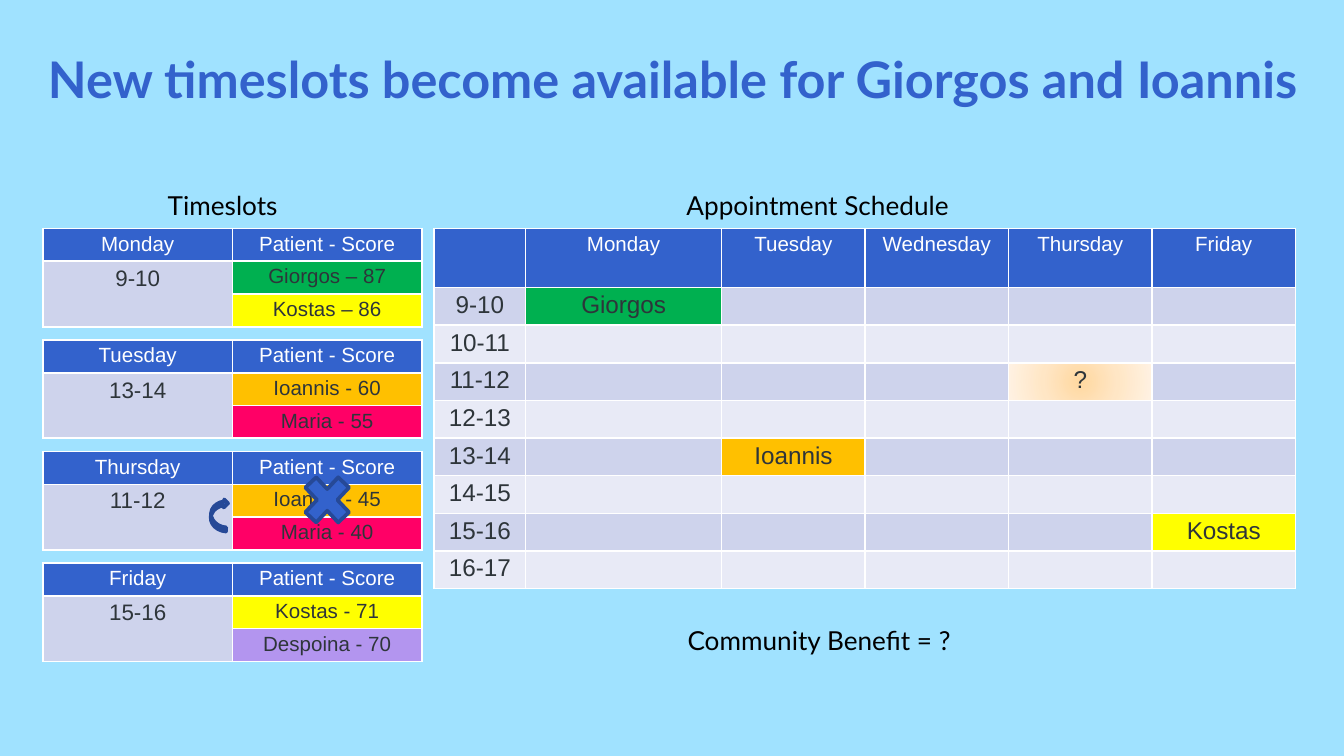
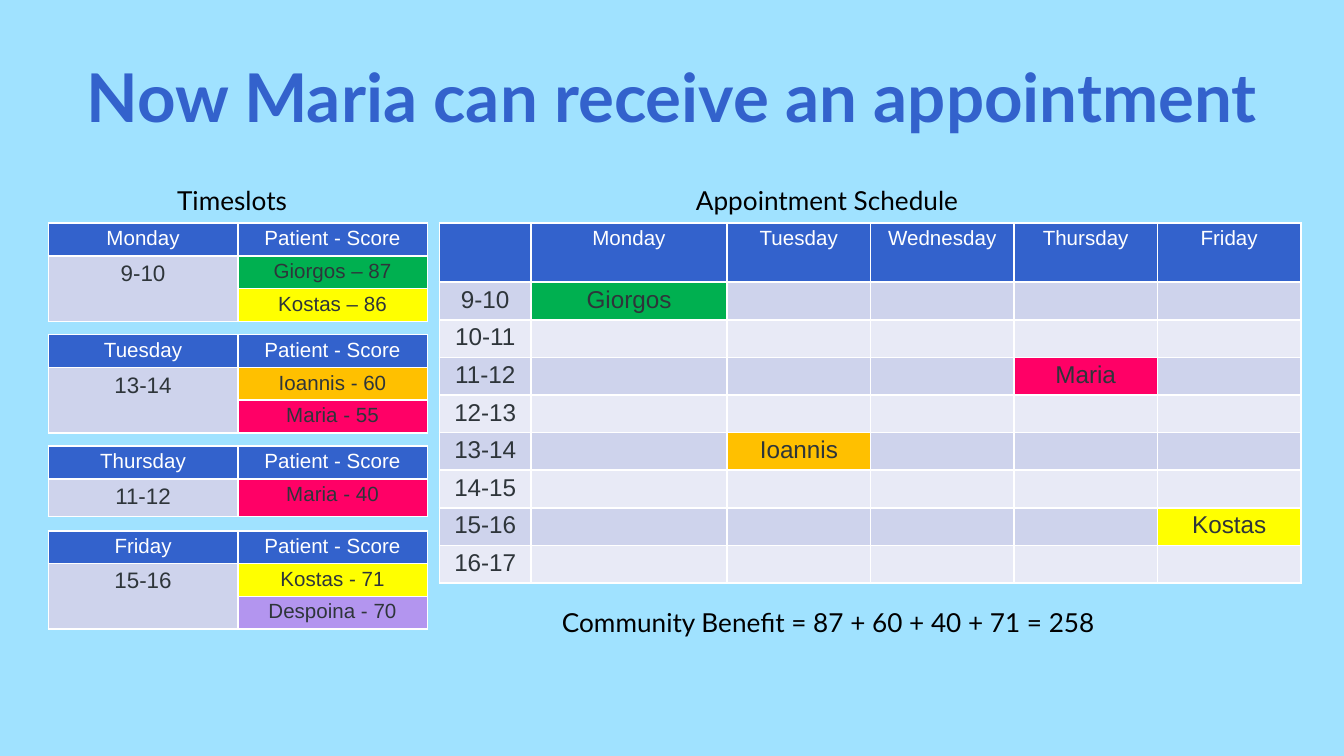
import pptx
import pptx.dml.color
import pptx.enum.shapes
import pptx.enum.text
import pptx.oxml
import pptx.oxml.ns
import pptx.util

Inches = pptx.util.Inches
Pt = pptx.util.Pt
RGB = pptx.dml.color.RGBColor
SHAPE = pptx.enum.shapes.MSO_SHAPE
ALIGN = pptx.enum.text.PP_ALIGN
ANCHOR = pptx.enum.text.MSO_ANCHOR

# Shared colours and fonts
SKY = RGB(0xA0, 0xE2, 0xFF)
BLUE = RGB(0x33, 0x62, 0xCC)
NAVY = RGB(0x26, 0x49, 0x97)
INK = RGB(0x2E, 0x35, 0x3A)
BLACK = RGB(0, 0, 0)
WHITE = RGB(0xFF, 0xFF, 0xFF)
BAND = RGB(0xCE, 0xD3, 0xEC)
PALE = RGB(0xE8, 0xEA, 0xF6)
GREEN = RGB(0x00, 0xB0, 0x50)
YELLOW = RGB(0xFF, 0xFF, 0x00)
ORANGE = RGB(0xFF, 0xC0, 0x00)
PINK = RGB(0xFF, 0x00, 0x66)
LILAC = RGB(0xB3, 0x95, 0xEF)
GLOW = [(0, RGB(0xFF, 0xD8, 0xA0)), (50, RGB(0xFF, 0xE6, 0xC5)),
        (100, RGB(0xFF, 0xF2, 0xE3))]
HEAD_FONT = "Lato"
CELL_FONT = "Arial"

# Shared content and measures
WIDE = 10
HIGH = WIDE * 9 / 16
TINTS = {"Giorgos": GREEN, "Kostas": YELLOW, "Ioannis": ORANGE,
         "Maria": PINK, "Despoina": LILAC, "?": GLOW}
DAYS = ["Monday", "Tuesday", "Wednesday", "Thursday", "Friday"]
HOURS = [f"{hour}-{hour + 1}" for hour in range(9, 17)]
PLAN_WIDE, HOUR_WIDE, MONDAY_WIDE = 6.41, 0.68, 1.46
DAY_WIDTHS = ([HOUR_WIDE, MONDAY_WIDE]
              + [(PLAN_WIDE - HOUR_WIDE - MONDAY_WIDE) / 4] * 4)
SLOT_WIDTHS = [1.41, 1.41]
HEAD_ROW, HOUR_ROW, SLOT_ROW = 0.44, 0.28, 0.24
SLOT_GAP = 0.11
LABEL_HIGH = 0.34


def set_font(para, name, size, color, bold=False):
    font = para.font
    font.name, font.size, font.bold = name, Pt(size), bold
    font.color.rgb = color


def add_glow(props, stops):
    """Fill a cell from its centre outward."""
    marks = "".join(f'<a:gs pos="{pos * 1000}"><a:srgbClr val="{color}"/></a:gs>'
                    for pos, color in stops)
    props.append(pptx.oxml.parse_xml(
        f'<a:gradFill {pptx.oxml.ns.nsdecls("a")}><a:gsLst>{marks}</a:gsLst>'
        '<a:path path="circle"><a:fillToRect l="50000" t="50000" r="50000" '
        'b="50000"/></a:path></a:gradFill>'))


def add_edges(props):
    """Draw thin white cell borders."""
    for index, side in enumerate("LRTB"):
        props.insert(index, pptx.oxml.parse_xml(
            f'<a:ln{side} {pptx.oxml.ns.nsdecls("a")} w="{Pt(1)}">'
            f'<a:solidFill><a:srgbClr val="{WHITE}"/></a:solidFill></a:ln{side}>'))


def fill_cell(cell, text, fill, size, color=INK, pad=0.03):
    cell.text = text
    cell.margin_left = cell.margin_right = Inches(0.07)
    cell.margin_top = cell.margin_bottom = Inches(pad)
    para = cell.text_frame.paragraphs[0]
    para.alignment = ALIGN.CENTER
    set_font(para, CELL_FONT, size, color)
    props = cell._tc.get_or_add_tcPr()
    if fill is GLOW:
        add_glow(props, fill)
    else:
        cell.fill.solid()
        cell.fill.fore_color.rgb = fill
    add_edges(props)


def add_grid(slide, left, top, widths, heights, heads):
    """Add a table with its blue header row."""
    grid = slide.shapes.add_table(
        len(heights), len(widths), Inches(left), Inches(top),
        Inches(sum(widths)), Inches(sum(heights))).table
    for column, width in zip(grid.columns, widths):
        column.width = Inches(width)
    for row, height in zip(grid.rows, heights):
        row.height = Inches(height)
    for col, head in enumerate(heads):
        fill_cell(grid.cell(0, col), head, BLUE, 11, WHITE)
    return grid


def add_plan(slide, left, top, booked):
    """Week schedule; booked maps (hour, day) to a name."""
    heights = [HEAD_ROW] + [HOUR_ROW] * len(HOURS)
    grid = add_grid(slide, left, top, DAY_WIDTHS, heights, [""] + DAYS)
    for row, hour in enumerate(HOURS, 1):
        shade = BAND if row % 2 else PALE
        fill_cell(grid.cell(row, 0), hour, shade, 13)
        for col, day in enumerate(DAYS, 1):
            name = booked.get((hour, day), "")
            fill_cell(grid.cell(row, col), name, TINTS.get(name, shade), 13)


def add_slots(slide, left, top, slots):
    """Stack of small tables, one for each free slot."""
    for day, hour, pad, names in slots:
        count = len(names)
        heights = [SLOT_ROW] + [SLOT_ROW if count > 1 else HOUR_ROW] * count
        grid = add_grid(slide, left, top, SLOT_WIDTHS, heights,
                        [day, "Patient - Score"])
        for row, name in enumerate(names, 1):
            fill_cell(grid.cell(row, 0), hour if row == 1 else "", BAND, 12, pad=pad)
            fill_cell(grid.cell(row, 1), name, TINTS[name.split()[0]], 11)
        if count > 1:
            grid.cell(1, 0).merge(grid.cell(count, 0))
        top += sum(heights) + SLOT_GAP


def add_label(slide, text, left, top, width, align=ALIGN.LEFT):
    box = slide.shapes.add_textbox(Inches(left), Inches(top), Inches(width),
                                   Inches(LABEL_HIGH))
    box.text_frame.word_wrap = True
    para = box.text_frame.paragraphs[0]
    para.text, para.alignment = text, align
    set_font(para, HEAD_FONT, 14, BLACK)


def add_mark(slide, kind, left, top, width, height, turn=0):
    mark = slide.shapes.add_shape(kind, Inches(left), Inches(top),
                                  Inches(width), Inches(height))
    mark.rotation = turn
    mark.shadow.inherit = False
    mark.fill.solid()
    mark.fill.fore_color.rgb = BLUE
    mark.line.color.rgb = NAVY
    mark.line.width = Pt(2)


def set_title(slide, text, box, size):
    title = slide.shapes.title
    title.left, title.top, title.width, title.height = map(Inches, box)
    frame = title.text_frame
    frame.text = text
    frame.word_wrap = True
    frame.auto_size = pptx.enum.text.MSO_AUTO_SIZE.NONE
    frame.vertical_anchor = ANCHOR.TOP
    frame.margin_left = frame.margin_right = Inches(0.1)
    frame.margin_top = frame.margin_bottom = Inches(0.1)
    para = frame.paragraphs[0]
    para.alignment = ALIGN.CENTER
    set_font(para, HEAD_FONT, size, BLUE, bold=True)


def add_board(deck, left, top, title, slots, booked, benefit, shift, drop):
    """One slide: slots at left, schedule at right, benefit below it.

    shift moves the labels right; drop is the benefit's distance from top.
    """
    slide = deck.slides.add_slide(deck.slide_layouts[5])
    set_title(slide, *title)
    add_plan(slide, left + 2.91, top, booked)
    add_label(slide, "Timeslots", left + 0.83 + shift, top - LABEL_HIGH, 1.16)
    add_label(slide, "Appointment Schedule", left + 4.69 + shift,
              top - LABEL_HIGH, 2.17)
    add_label(slide, f"Community Benefit = {benefit}", left + 2.98 + shift,
              top + drop, 5.59, ALIGN.CENTER)
    add_slots(slide, left, top, slots)
    return slide


def main():
    deck = pptx.Presentation()
    deck.slide_width, deck.slide_height = Inches(WIDE), Inches(HIGH)
    back = deck.slide_master.background.fill
    back.solid()
    back.fore_color.rgb = SKY

    early = [("Monday", "9-10", 0.04, ["Giorgos – 87", "Kostas – 86"]),
             ("Tuesday", "13-14", 0.04, ["Ioannis - 60", "Maria - 55"])]
    late = ("Friday", "15-16", 0.03, ["Kostas - 71", "Despoina - 70"])
    booked = {("9-10", "Monday"): "Giorgos", ("13-14", "Tuesday"): "Ioannis",
              ("15-16", "Friday"): "Kostas"}
    opened = ("11-12", "Thursday")

    # Thursday slot is freed
    freed = ("Thursday", "11-12", 0.03, ["Ioannis - 45", "Maria - 40"])
    slide = add_board(
        deck, 0.32, 1.7,
        ("New timeslots become available for Giorgos and Ioannis",
         (0.17, 0.26, 9.67, 0.82), 27),
        early + [freed, late], {**booked, opened: "?"}, "?", 0, 2.9)
    add_mark(slide, SHAPE.CURVED_LEFT_ARROW, 1.57, 3.71, 0.12, 0.24, 184.3)
    add_mark(slide, SHAPE.MATH_MULTIPLY, 2.2, 3.47, 0.47, 0.5)

    # Thursday slot goes to Maria
    taken = ("Thursday", "11-12", 0.04, ["Maria - 40"])
    add_board(
        deck, 0.36, 1.66,
        ("Now Maria can receive an appointment", (0.52, 0.31, 8.96, 0.88), 36),
        early + [taken, late], {**booked, opened: "Maria"},
        "87 + 60 + 40 + 71 = 258", 0.03, 2.8)

    deck.save("out.pptx")


if __name__ == "__main__":
    main()
